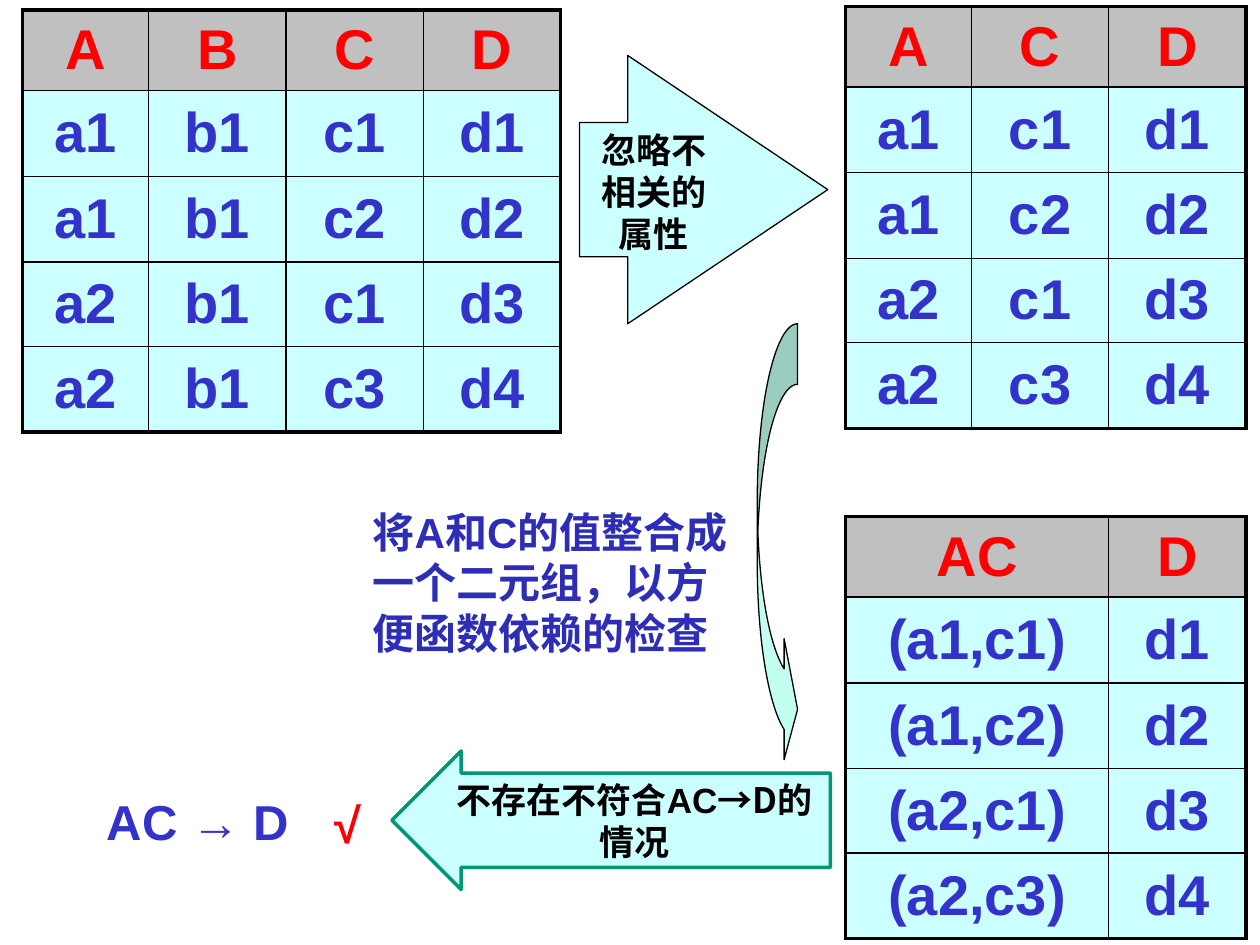
import pptx
import pptx.util
import pptx.dml.color
import pptx.enum.shapes
import pptx.enum.text
import pptx.oxml
import pptx.oxml.ns
from lxml import etree

Inches, Pt = pptx.util.Inches, pptx.util.Pt
SHAPE = pptx.enum.shapes.MSO_SHAPE
ALIGN = pptx.enum.text.PP_ALIGN
ANCHOR = pptx.enum.text.MSO_ANCHOR
qn = pptx.oxml.ns.qn

COLORS = {
    "black": "000000", "white": "FFFFFF", "red": "FF0000", "blue": "3333CC",
    "note": "2D2DB7", "header": "C0C0C0", "cell": "CCFFFF",
    "curve": "C2FFF0", "green": "009771",
}
LATIN, CJK = "Arial", "Noto Sans CJK SC"
NARROW, WIDE = 1, 1.09
ROW_HEIGHTS = [0.64, 0.68, 0.68, 0.67, 0.68]
INNER, OUTER = 1, 2.25
RIGHT_COL = 6.71
RELATION = [
    ("A", "B", "C", "D"),
    ("a1", "b1", "c1", "d1"),
    ("a1", "b1", "c2", "d2"),
    ("a2", "b1", "c1", "d3"),
    ("a2", "b1", "c3", "d4"),
]


def rgb(name):
    return pptx.dml.color.RGBColor.from_string(COLORS[name])


def style(p, size, color, align=ALIGN.LEFT, cjk=False):
    p.alignment = align
    p.font.size = Pt(size)
    p.font.bold = True
    p.font.name = LATIN
    p.font.color.rgb = rgb(color)
    if cjk:
        def_rpr = p._p.pPr.find(qn("a:defRPr"))
        def_rpr.find(qn("a:latin")).addnext(
            def_rpr.makeelement(qn("a:ea"), {"typeface": CJK}))


def set_border(cell, side, width):
    """Draw one side (L, R, T or B) of a cell as a solid black line."""
    ln = etree.SubElement(cell._tc.get_or_add_tcPr(), qn(f"a:ln{side}"),
                          w=str(Pt(width)))
    fill = etree.SubElement(ln, qn("a:solidFill"))
    etree.SubElement(fill, qn("a:srgbClr"), val=COLORS["black"])


def add_relation(s, left, top, widths, rows):
    """Add a relation table with a grey header and a heavy outer frame."""
    last_row, last_col = len(rows) - 1, len(widths) - 1
    table = s.shapes.add_table(
        len(rows), len(widths), Inches(left), Inches(top),
        Inches(sum(widths)), Inches(sum(ROW_HEIGHTS))).table
    table.first_row = table.horz_banding = False
    for column, width in zip(table.columns, widths):
        column.width = Inches(width)
    for i, values in enumerate(rows):
        table.rows[i].height = Inches(ROW_HEIGHTS[i])
        for j, value in enumerate(values):
            cell = table.cell(i, j)
            edges = {"L": j == 0, "R": j == last_col,
                     "T": i == 0, "B": i == last_row}
            for side, is_outer in edges.items():
                set_border(cell, side, OUTER if is_outer else INNER)
            cell.fill.solid()
            cell.fill.fore_color.rgb = rgb("cell" if i else "header")
            cell.margin_left = cell.margin_right = Inches(0.1)
            cell.margin_top = cell.margin_bottom = 0
            cell.vertical_anchor = ANCHOR.MIDDLE
            cell.text = value
            style(cell.text_frame.paragraphs[0], 32,
                  "blue" if i else "red", ALIGN.CENTER)


def add_shape(s, kind, box, fill, line=None, width=0.75, adjustments=()):
    sp = s.shapes.add_shape(kind, *map(Inches, box))
    sp.shadow.inherit = False
    sp.fill.solid()
    sp.fill.fore_color.rgb = rgb(fill)
    if line:
        sp.line.color.rgb = rgb(line)
        sp.line.width = Pt(width)
    else:
        sp.line.fill.background()
    for i, value in enumerate(adjustments):
        sp.adjustments[i] = value
    return sp


def write(sp, text, size, color, align=ALIGN.LEFT, anchor=ANCHOR.TOP, cjk=False):
    """Fill a shape with one wrapped paragraph and return the paragraph."""
    tf = sp.text_frame
    tf.word_wrap = True
    tf.vertical_anchor = anchor
    p = tf.paragraphs[0]
    p.add_run().text = text
    style(p, size, color, align, cjk)
    return p


def add_text(s, box, text, size, color, cjk=False):
    write(s.shapes.add_textbox(*map(Inches, box)), text, size, color, cjk=cjk)


def main():
    prs = pptx.Presentation()
    prs.slide_width, prs.slide_height = Inches(10), Inches(7.5)
    s = prs.slides.add_slide(prs.slide_layouts[6])

    check = add_shape(s, SHAPE.RECTANGLE, (2.56, 6.26, 0.67, 0.67), "white")
    write(check, "√", 28, "red")

    add_relation(s, 0.18, 0.08, [NARROW] + [WIDE] * 3, RELATION)
    add_text(s, (0.75, 6.23, 3.06, 0.62), "AC → D", 28, "blue")

    projected = [(a, c, d) for a, _, c, d in RELATION]
    add_relation(s, RIGHT_COL, 0.05, [NARROW, WIDE, WIDE], projected)

    paired = [("AC", "D")] + [(f"({a},{c})", d) for a, c, d in projected[1:]]
    add_relation(s, RIGHT_COL, 4.1, [NARROW + WIDE, WIDE], paired)

    ignore = add_shape(s, SHAPE.RIGHT_ARROW, (4.6, 0.44, 1.97, 2.13), "cell",
                       "black", adjustments=(0.5, 0.806))
    write(ignore, "忽略不相关的属性", 20, "black", ALIGN.CENTER, cjk=True)

    add_shape(s, SHAPE.CURVED_RIGHT_ARROW, (6.01, 2.57, 0.32, 3.54), "curve",
              "black", adjustments=(1.501, 3.001, 0.333))
    add_text(s, (2.86, 3.97, 3.13, 1.3),
             "将A和C的值整合成一个二元组，以方便函数依赖的检查", 24, "note", cjk=True)

    result = add_shape(s, SHAPE.LEFT_ARROW, (3.11, 5.96, 3.48, 1.1), "cell",
                       "green", 2, (0.68, 0.5))
    p = write(result, "不存在不符合AC", 20, "black", ALIGN.CENTER,
              ANCHOR.MIDDLE, cjk=True)
    r = p.add_run()
    r.text = "→D的情况"
    r.font.name = CJK

    prs.save("out.pptx")


if __name__ == "__main__":
    main()
